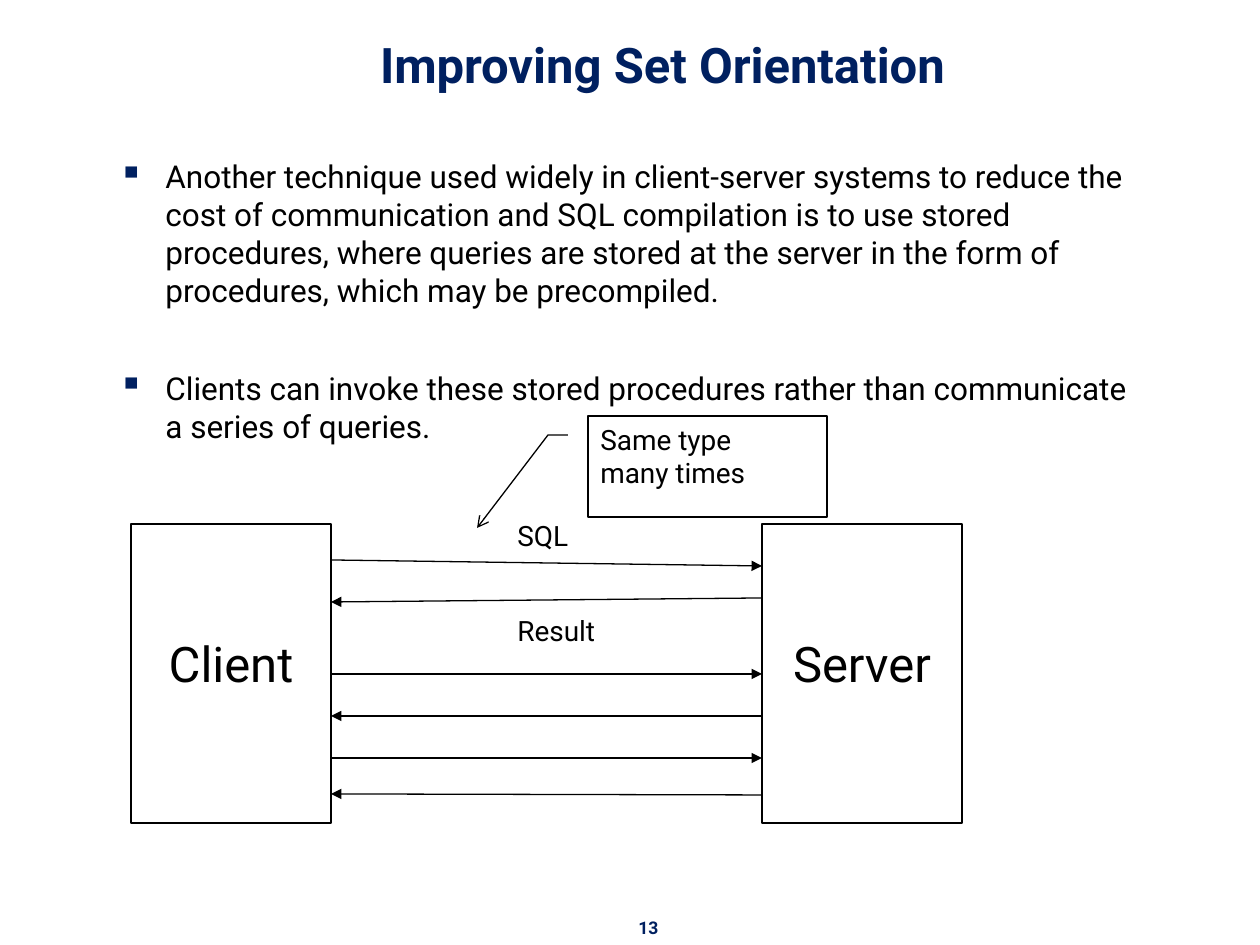
from dataclasses import dataclass

from lxml.etree import SubElement
from pptx import Presentation
from pptx.dml.color import RGBColor
from pptx.enum.shapes import MSO_CONNECTOR, MSO_SHAPE
from pptx.enum.text import MSO_ANCHOR, PP_ALIGN
from pptx.oxml.ns import qn
from pptx.util import Emu, Pt

PX = 914400 // 126
FONT = "Roboto"
COLORS = {"navy": "002060", "black": "000000", "white": "FFFFFF"}


@dataclass(frozen=True)
class Box:
    left: int
    top: int
    width: int
    height: int

    def emu(self) -> tuple[Emu, ...]:
        return tuple(px(n) for n in (self.left, self.top, self.width, self.height))


@dataclass(frozen=True)
class Label:
    box: Box
    lines: tuple[str, ...]
    size: int = 16
    color: str = "black"
    bold: bool = False
    align: PP_ALIGN = PP_ALIGN.LEFT
    anchor: MSO_ANCHOR = MSO_ANCHOR.TOP
    wrap: bool = True
    bulleted: bool = False
    gap: float = 0


@dataclass(frozen=True)
class Message:
    start_y: int
    end_y: int
    to_server: bool


def px(count: int) -> Emu:
    return Emu(count * PX)


def rgb(name: str) -> RGBColor:
    return RGBColor.from_string(COLORS[name])


def add_bullet(paragraph) -> None:
    properties = paragraph._p.get_or_add_pPr()
    properties.set("marL", str(px(47)))
    properties.set("indent", str(px(-47)))
    bullet_color = SubElement(properties, qn("a:buClr"))
    SubElement(bullet_color, qn("a:srgbClr"), val=COLORS["navy"])
    SubElement(properties, qn("a:buSzPct"), val="110000")
    SubElement(properties, qn("a:buChar"), char="▪")


def write_text(frame, label: Label) -> None:
    frame.word_wrap = label.wrap
    frame.vertical_anchor = label.anchor
    for index, line in enumerate(label.lines):
        paragraph = frame.add_paragraph() if index else frame.paragraphs[0]
        paragraph.text = line
        paragraph.alignment = label.align
        if label.bulleted:
            add_bullet(paragraph)
        if index and label.gap:
            paragraph.space_before = Pt(label.gap)
        paragraph.font.name = FONT
        paragraph.font.size = Pt(label.size)
        paragraph.font.bold = label.bold
        paragraph.font.color.rgb = rgb(label.color)


def add_label(slide, label: Label) -> None:
    write_text(slide.shapes.add_textbox(*label.box.emu()).text_frame, label)


def style_line(line, arrowhead: str = "") -> None:
    line.color.rgb = rgb("black")
    line.width = Pt(0.75)
    if arrowhead:
        SubElement(line._get_or_add_ln(), qn("a:tailEnd"), type=arrowhead)


def add_panel(slide, label: Label, preset: MSO_SHAPE, arrowhead: str = ""):
    panel = slide.shapes.add_shape(preset, *label.box.emu())
    panel.shadow.inherit = False
    panel.fill.solid()
    panel.fill.fore_color.rgb = rgb("white")
    style_line(panel.line, arrowhead)
    write_text(panel.text_frame, label)
    return panel


def add_message(slide, message: Message, client_x: int, server_x: int) -> None:
    ends = (client_x, server_x) if message.to_server else (server_x, client_x)
    arrow = slide.shapes.add_connector(
        MSO_CONNECTOR.STRAIGHT,
        px(ends[0]), px(message.start_y), px(ends[1]), px(message.end_y),
    )
    style_line(arrow.line, "triangle")
    SubElement(arrow._element.spPr, qn("a:effectLst"))


TITLE = Label(Box(106, 16, 1113, 84), ("Improving Set Orientation",), 28, "navy", True,
              PP_ALIGN.CENTER, MSO_ANCHOR.BOTTOM)
BODY = Label(
    Box(106, 151, 1055, 325),
    (
        "Another technique used widely in client-server systems to reduce the cost of "
        "communication and SQL compilation is to use stored procedures, where queries are "
        "stored at the server in the form of procedures, which may be precompiled.",
        "Clients can invoke these stored procedures rather than communicate a series of queries.",
    ),
    18, bulleted=True, gap=34.5,
)
PAGE_NUMBER = Label(Box(625, 911, 47, 34), ("13",), 10, "navy", True,
                    PP_ALIGN.CENTER, wrap=False)
CLIENT, SERVER = (
    Label(Box(left, 524, 200, 299), (name,), 28, align=PP_ALIGN.CENTER, wrap=False)
    for left, name in ((131, "Client"), (762, "Server"))
)
MESSAGES = tuple(
    Message(start_y, end_y, index % 2 == 0)
    for index, (start_y, end_y) in enumerate(
        ((560, 566), (598, 602), (674, 674), (716, 716), (758, 758), (795, 794))
    )
)
SQL = Label(Box(505, 512, 83, 46), ("SQL",))
RESULT = Label(Box(505, 607, 120, 46), ("Result",))
CALLOUT = Label(Box(588, 416, 239, 101), ("Same type", "many times"), wrap=False)
POINTER = ((568, 435), (548, 435), (477, 528))

presentation = Presentation()
presentation.slide_width, presentation.slide_height = px(1260), px(945)
slide = presentation.slides.add_slide(presentation.slide_layouts[6])

for label in (PAGE_NUMBER, TITLE, BODY):
    add_label(slide, label)

for node in (CLIENT, SERVER):
    add_panel(slide, node, MSO_SHAPE.RECTANGLE).text_frame.margin_top = px(110)

for message in MESSAGES:
    add_message(slide, message, CLIENT.box.left + CLIENT.box.width, SERVER.box.left)

for label in (SQL, RESULT):
    add_label(slide, label)

callout = add_panel(slide, CALLOUT, MSO_SHAPE.LINE_CALLOUT_2, "arrow")
for index, (x, y) in enumerate(POINTER):
    callout.adjustments[2 * index] = round((y - CALLOUT.box.top) / CALLOUT.box.height, 3)
    callout.adjustments[2 * index + 1] = round((x - CALLOUT.box.left) / CALLOUT.box.width, 3)

presentation.save("out.pptx")
